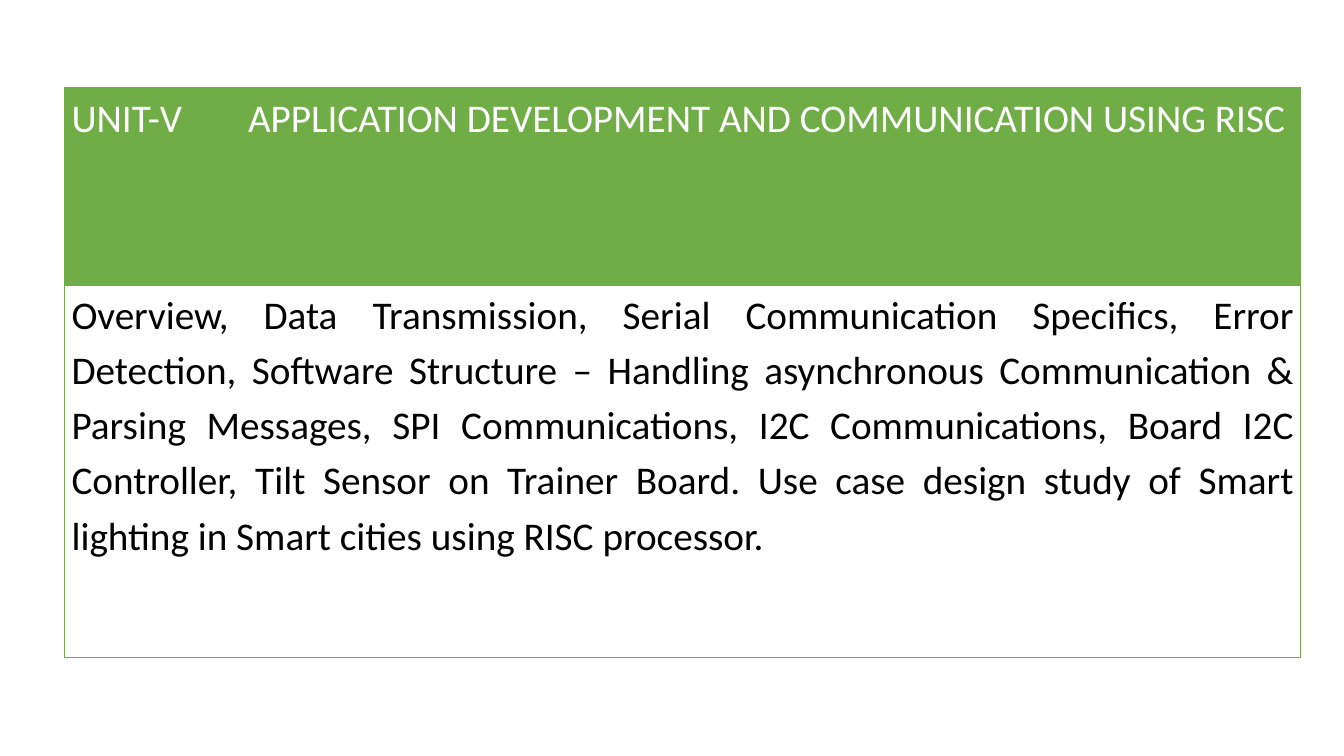
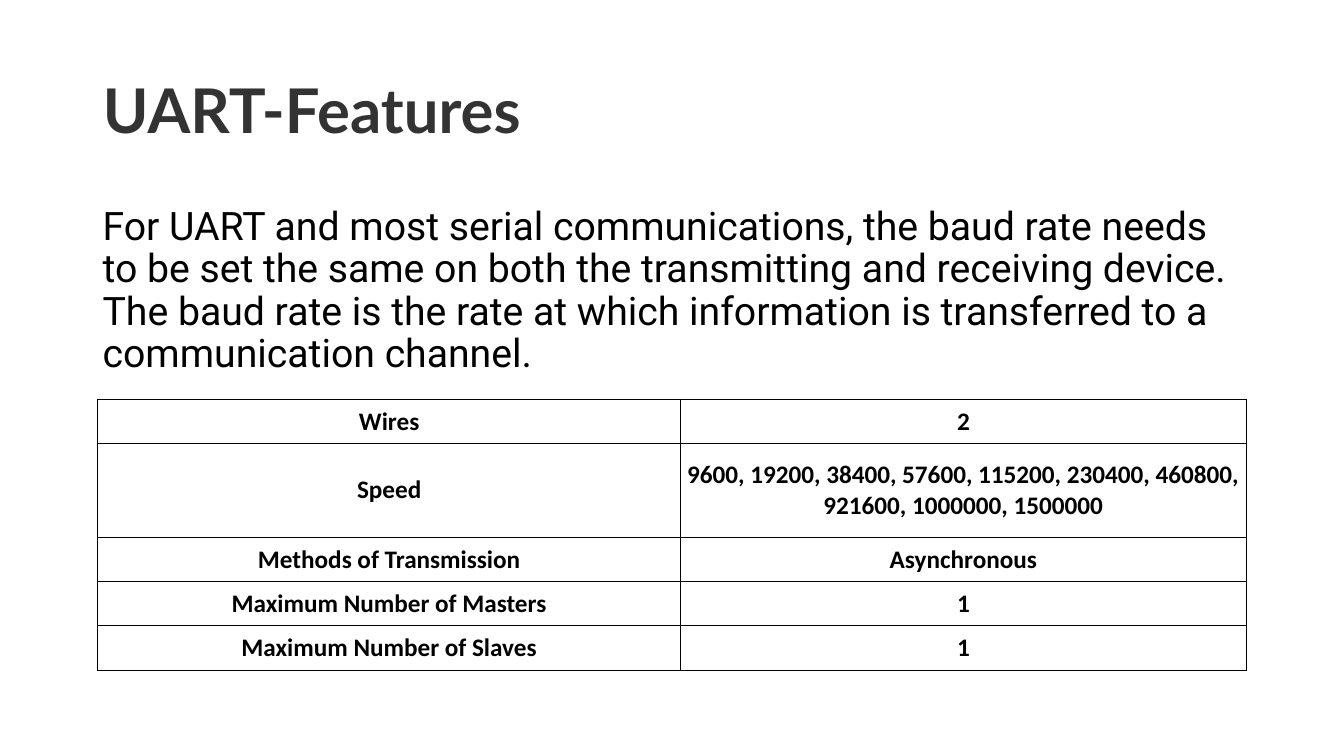
from dataclasses import dataclass

from lxml import etree
from pptx import Presentation
from pptx.dml.color import RGBColor
from pptx.enum.text import MSO_ANCHOR, PP_ALIGN
from pptx.oxml import ns
from pptx.util import Inches, Pt


@dataclass(frozen=True)
class TextStyle:
    font: str
    size: float
    color: str
    bold: bool = False
    align: PP_ALIGN = PP_ALIGN.LEFT
    line_spacing: float = 1.0
    space_after: float = 0


@dataclass(frozen=True)
class Theme:
    green: str = "70AD47"
    black: str = "000000"
    title: TextStyle = TextStyle("Lato", 44, "333333", bold=True, line_spacing=0.9)
    body: TextStyle = TextStyle("Roboto", 28, "000000", line_spacing=0.9)
    unit_header: TextStyle = TextStyle(
        "Calibri", 28, "FFFFFF", line_spacing=1.15, space_after=10)
    unit_topics: TextStyle = TextStyle(
        "Calibri", 28, "000000", align=PP_ALIGN.JUSTIFY, line_spacing=1.15, space_after=10)
    feature: TextStyle = TextStyle(
        "Calibri", 18, "000000", bold=True, align=PP_ALIGN.CENTER)


@dataclass(frozen=True)
class CellStyle:
    margin_x: float
    margin_y: float
    anchor: MSO_ANCHOR
    border_sides: str
    border_color: str
    border_width: float
    fill: str | None = None


THEME = Theme()
PLAIN_TABLE = "{2D5ABB26-0587-4C30-8999-92F81FD0307C}"
FEATURES = (
    ("Wires", "2"),
    ("Speed", "9600, 19200, 38400, 57600, 115200, 230400, 460800, 921600, 1000000, 1500000"),
    ("Methods of Transmission", "Asynchronous"),
    ("Maximum Number of Masters", "1"),
    ("Maximum Number of Slaves", "1"),
)


def write(frame, content: str, style: TextStyle) -> None:
    frame.word_wrap = True
    frame.text = content
    para = frame.paragraphs[0]
    para.alignment = style.align
    para.line_spacing = style.line_spacing
    para.space_before = Pt(0)
    para.space_after = Pt(style.space_after)
    para.font.name = style.font
    para.font.size = Pt(style.size)
    para.font.bold = style.bold
    para.font.color.rgb = RGBColor.from_string(style.color)


def add_border(cell, side: str, color: str, width: float) -> None:
    properties = cell._tc.get_or_add_tcPr()
    line = etree.SubElement(properties, ns.qn(f"a:ln{side}"), w=str(Pt(width)))
    fill = etree.SubElement(line, ns.qn("a:solidFill"))
    etree.SubElement(fill, ns.qn("a:srgbClr"), val=color)


def format_cell(cell, style: CellStyle) -> None:
    cell.margin_left = cell.margin_right = Inches(style.margin_x)
    cell.margin_top = cell.margin_bottom = Inches(style.margin_y)
    cell.vertical_anchor = style.anchor
    for side in style.border_sides:
        add_border(cell, side, style.border_color, style.border_width)
    if style.fill:
        cell.fill.solid()
        cell.fill.fore_color.rgb = RGBColor.from_string(style.fill)
    else:
        cell.fill.background()


def add_plain_table(page, left: float, top: float, widths: list[float], heights: list[float]):
    frame = page.shapes.add_table(
        len(heights), len(widths), Inches(left), Inches(top),
        Inches(sum(widths)), Inches(sum(heights)))
    table = frame.table
    table.first_row = table.horz_banding = False
    table._tbl.tblPr.find(ns.qn("a:tableStyleId")).text = PLAIN_TABLE
    for column, width in zip(table.columns, widths):
        column.width = Inches(width)
    for row, height in zip(table.rows, heights):
        row.height = Inches(height)
    return table


def build_unit_page(deck) -> None:
    page = deck.slides.add_slide(deck.slide_layouts[6])
    table = add_plain_table(page, 0.64, 0.87, [1.75, 10.51], [1.96, 3.69])
    headings = ("UNIT-V", "APPLICATION DEVELOPMENT AND COMMUNICATION USING RISC")
    for column, (heading, sides) in enumerate(zip(headings, ("LT", "RT"))):
        cell = table.cell(0, column)
        write(cell.text_frame, heading, THEME.unit_header)
        format_cell(cell, CellStyle(
            0.07, 0, MSO_ANCHOR.TOP, sides, THEME.green, 0.5, THEME.green))
    topics = table.cell(1, 0)
    topics.merge(table.cell(1, 1))
    write(
        topics.text_frame,
        "Overview, Data Transmission, Serial Communication Specifics, Error Detection, "
        "Software Structure – Handling asynchronous Communication & Parsing Messages, "
        "SPI Communications, I2C Communications, Board I2C Controller, Tilt Sensor on "
        "Trainer Board. Use case design study of Smart lighting in Smart cities using "
        "RISC processor.",
        THEME.unit_topics)
    for cell in table.rows[1].cells:
        format_cell(cell, CellStyle(0.07, 0, MSO_ANCHOR.TOP, "LRTB", THEME.green, 0.5))


def build_features_page(deck) -> None:
    page = deck.slides.add_slide(deck.slide_layouts[5])
    title = page.shapes.title
    title.left, title.top = Inches(0.92), Inches(0.4)
    title.width, title.height = Inches(11.5), Inches(1.45)
    write(title.text_frame, "UART-Features", THEME.title)
    title.text_frame.vertical_anchor = MSO_ANCHOR.MIDDLE

    body = page.shapes.add_textbox(Inches(0.92), Inches(2), Inches(11.5), Inches(1.8))
    write(
        body.text_frame,
        "For UART and most serial communications, the baud rate needs to be set the same "
        "on both the transmitting and receiving device. The baud rate is the rate at which "
        "information is transferred to a communication channel.",
        THEME.body)

    heights = [0.44, 0.93, 0.44, 0.44, 0.44]
    table = add_plain_table(page, 0.97, 3.96, [5.78, 5.61], heights)
    style = CellStyle(0.05, 0.07, MSO_ANCHOR.MIDDLE, "LRTB", THEME.black, 1)
    for row, feature in zip(table.rows, FEATURES):
        for cell, content in zip(row.cells, feature):
            write(cell.text_frame, content, THEME.feature)
            format_cell(cell, style)


def main() -> None:
    deck = Presentation()
    deck.slide_width, deck.slide_height = Inches(13.33), Inches(7.5)
    build_unit_page(deck)
    build_features_page(deck)
    deck.save("out.pptx")


if __name__ == "__main__":
    main()
